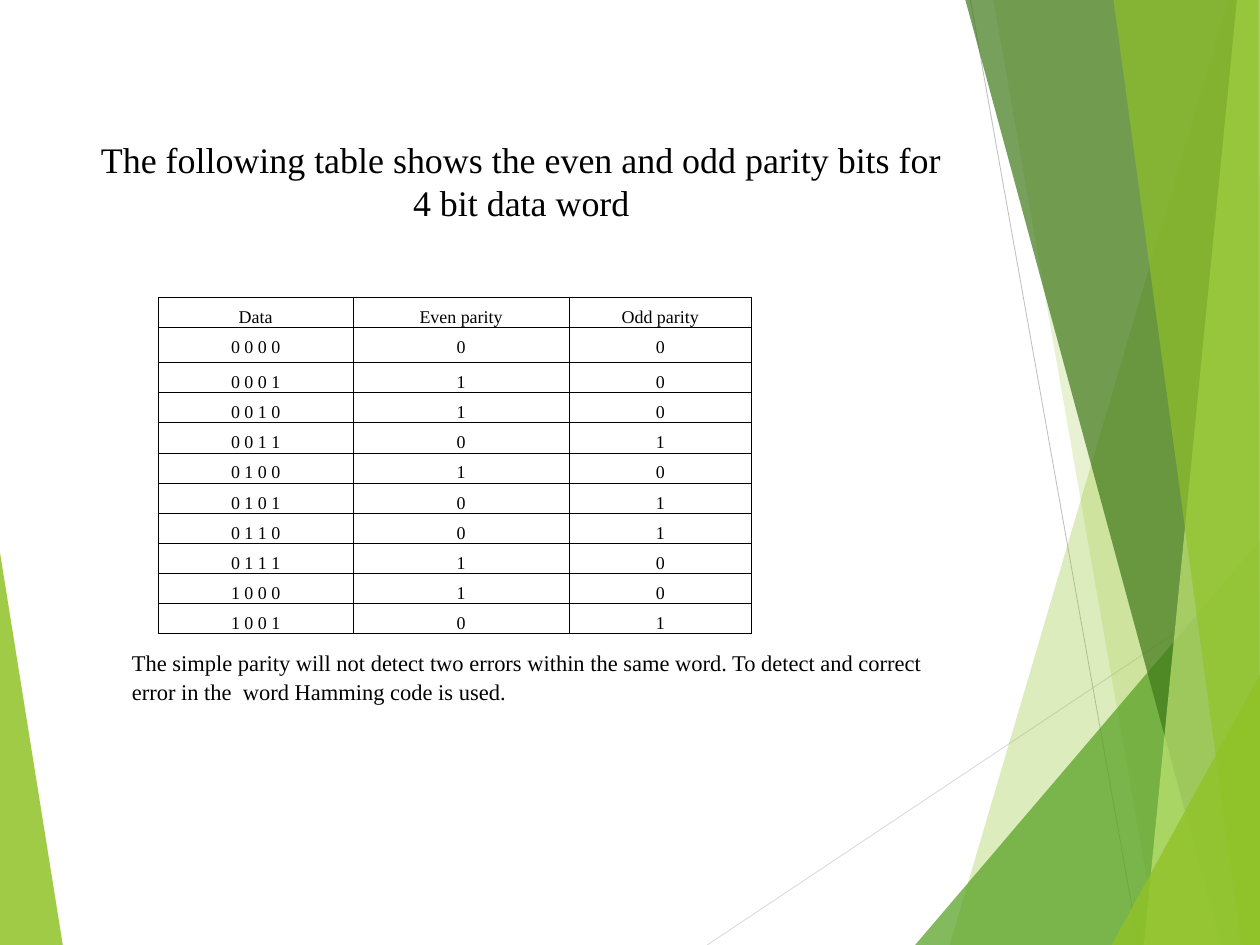
from lxml.etree import SubElement
from pptx import Presentation
from pptx.dml.color import RGBColor
from pptx.enum.shapes import MSO_CONNECTOR
from pptx.enum.text import MSO_ANCHOR, PP_ALIGN
from pptx.oxml import parse_xml
from pptx.oxml.ns import nsdecls, qn
from pptx.util import Pt

WIDTH, HEIGHT = 1122.5, 841.7
EDGE = 1124  # the facets run slightly past the right side

BLACK = RGBColor(0x00, 0x00, 0x00)
LIME = RGBColor(0x90, 0xC2, 0x26)
PALE_LIME = RGBColor(0xC0, 0xE4, 0x74)
GREEN = RGBColor(0x54, 0xA0, 0x21)
DARK_GREEN = RGBColor(0x3F, 0x78, 0x19)
LIGHT_GREY = RGBColor(0xD9, 0xD9, 0xD9)
GREY = RGBColor(0xBF, 0xBF, 0xBF)

# corners, colour, opacity in percent
LEFT_FACET = ([(0, 492.5), (55.5, HEIGHT), (0, HEIGHT)], LIME, 85)
RIGHT_FACETS = [
    ([(1094.5, 0), (846, HEIGHT), (EDGE, HEIGHT), (EDGE, 0)], LIME, 30),
    ([(885, 0), (1032.5, HEIGHT), (EDGE, HEIGHT), (EDGE, 0)], LIME, 20),
    ([(815, HEIGHT), (1123, 481), (1123, HEIGHT)], GREEN, 72),
    ([(860.5, 0), (1088.5, HEIGHT), (EDGE, HEIGHT), (EDGE, 0)], DARK_GREEN, 70),
    ([(1101.5, 0), (1019, HEIGHT), (EDGE, HEIGHT), (1123, 0)], PALE_LIME, 70),
    ([(991.5, 0), (1106.5, HEIGHT), (1122.5, HEIGHT), (1121, 0)], LIME, 65),
    ([(989.5, HEIGHT), (1123, 600.5), (EDGE, HEIGHT)], LIME, 80),
]

TITLE = "The following table shows the even and odd parity bits for 4 bit data word"
NOTE = ("The simple parity will not detect two errors within the same word. "
        "To detect and correct error in the  word Hamming code is used.")
HEADINGS = ["Data", "Even parity", "Odd parity"]


def parity_row(number):
    bits = f"{number:04b}"
    parity = bits.count("1") % 2
    return [" ".join(bits), str(parity), str(1 - parity)]


def write(frame, text, size, align=PP_ALIGN.LEFT, line_spacing=None, space_before=0):
    frame.word_wrap = True
    paragraph = frame.paragraphs[0]
    paragraph.alignment = align
    paragraph.line_spacing = line_spacing
    paragraph.space_before = Pt(space_before)
    run = paragraph.add_run()
    run.text = text
    run.font.name = "Times New Roman"
    run.font.size = Pt(size)
    run.font.color.rgb = BLACK


class SlideBuilder:
    def __init__(self, slide):
        self.slide = slide
        self.shapes = slide.shapes

    def facet(self, corners, color, opacity):
        outline = self.shapes.build_freeform(*corners[0], scale=Pt(1))
        outline.add_line_segments(corners[1:], close=True)
        shape = outline.convert_to_shape()
        shape.shadow.inherit = False
        shape.line.fill.background()
        shape.fill.solid()
        shape.fill.fore_color.rgb = color
        tint = shape.fill._xPr.find(qn("a:solidFill"))[0]
        SubElement(tint, qn("a:alpha"), val=str(opacity * 1000))

    def line(self, start, end, color):
        connector = self.shapes.add_connector(
            MSO_CONNECTOR.STRAIGHT, *map(Pt, start), *map(Pt, end))
        connector.line.color.rgb = color
        connector.line.width = Pt(0.75)
        SubElement(connector._element.spPr, qn("a:effectLst"))

    def title(self, text, left, top, width, height):
        title = self.shapes.title
        title.left, title.top, title.width, title.height = map(Pt, (left, top, width, height))
        frame = title.text_frame
        frame.vertical_anchor = MSO_ANCHOR.BOTTOM
        frame.margin_bottom = 0
        write(frame, text, 32, align=PP_ALIGN.CENTER, line_spacing=Pt(38.3))

    def text(self, text, left, top, width, height, **style):
        frame = self.shapes.add_textbox(*map(Pt, (left, top, width, height))).text_frame
        frame.margin_left = frame.margin_right = frame.margin_bottom = 0
        frame.margin_top = Pt(1)
        write(frame, text, **style)

    def table(self, rows, left, top, widths, heights):
        table = self.shapes.add_table(
            len(rows), len(widths), Pt(left), Pt(top),
            Pt(sum(widths)), Pt(sum(heights))).table
        table.first_row = table.horz_banding = False
        for column, width in zip(table.columns, widths):
            column.width = Pt(width)
        for row, height, values in zip(table.rows, heights, rows):
            row.height = Pt(height)
            for cell, value in zip(row.cells, values):
                self.cell(cell, value)

    def cell(self, cell, value):
        cell.margin_left = cell.margin_right = cell.margin_bottom = 0
        cell.margin_top = Pt(13.4)
        cell.fill.background()
        write(cell.text_frame, value, 16, align=PP_ALIGN.CENTER, line_spacing=Pt(13.4))
        properties = cell._tc.get_or_add_tcPr()
        for index, side in enumerate("LRTB"):
            properties.insert(index, parse_xml(
                f'<a:ln{side} {nsdecls("a")} w="{Pt(0.5)}"><a:solidFill>'
                f'<a:srgbClr val="{BLACK}"/></a:solidFill></a:ln{side}>'))


def main():
    presentation = Presentation()
    presentation.slide_width, presentation.slide_height = Pt(WIDTH), Pt(HEIGHT)
    builder = SlideBuilder(presentation.slides.add_slide(presentation.slide_layouts[5]))

    builder.facet(*LEFT_FACET)
    builder.line((630, HEIGHT), (EDGE, 512.5), LIGHT_GREY)
    builder.line((864.5, 0), (1014.5, HEIGHT), GREY)
    for facet in RIGHT_FACETS:
        builder.facet(*facet)

    builder.title(TITLE, 75, 75, 779, 124)
    rows = [HEADINGS] + [parity_row(number) for number in range(10)]
    # The printed table lists odd parity 0 for the all-zero word
    rows[1][2] = "0"
    for row in rows[2:]:
        row[2] = "0" if row[1] == "1" else "1"
    builder.table(rows, 141, 265, [173.5, 192.5, 162.5], [26.8, 31] + [26.8] * 9)
    builder.text(NOTE, 117.5, 574.5, 736.5, 52.5, size=20, line_spacing=1.1, space_before=1)
    presentation.save("out.pptx")


if __name__ == "__main__":
    main()
